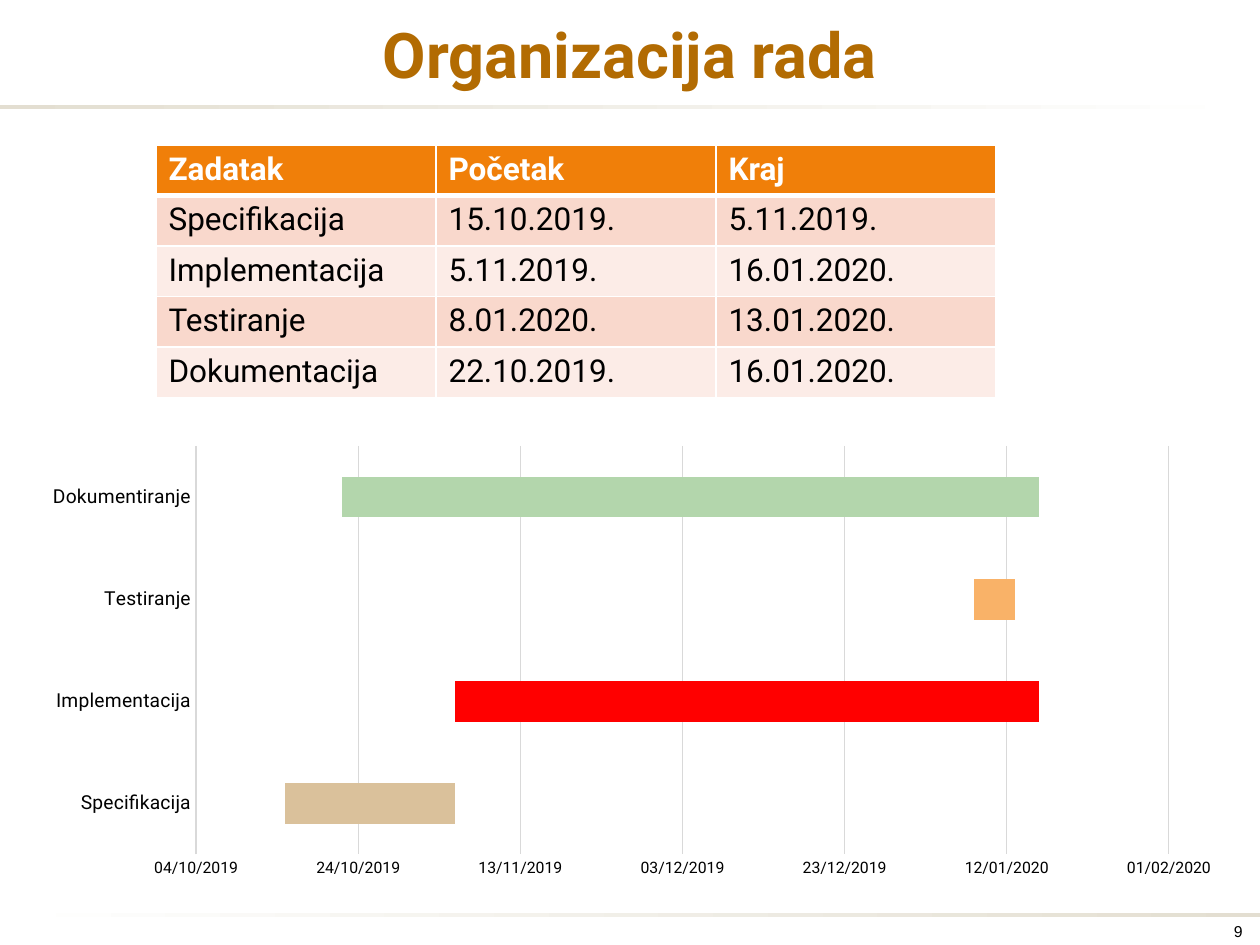
import pptx
import pptx.chart.data
import pptx.dml.color
import pptx.enum.chart
import pptx.enum.shapes
import pptx.enum.text
import pptx.oxml
import pptx.oxml.ns
import pptx.util

RGBColor = pptx.dml.color.RGBColor
BLACK = RGBColor(0x00, 0x00, 0x00)
WHITE = RGBColor(0xFF, 0xFF, 0xFF)
BROWN = RGBColor(0xB2, 0x6B, 0x02)
BEIGE = RGBColor(0xE3, 0xDE, 0xD1)
ORANGE = RGBColor(0xF0, 0x7F, 0x09)
BAND_DARK = RGBColor(0xF9, 0xD8, 0xCC)
BAND_LIGHT = RGBColor(0xFC, 0xEC, 0xE7)
GRID = RGBColor(0xD9, 0xD9, 0xD9)
DURATION = RGBColor(0x9F, 0x29, 0x36)
SPARE = RGBColor(0x1B, 0x58, 0x7C)
TASK_COLORS = [RGBColor(0xDA, 0xC1, 0x9B), RGBColor(0xFF, 0x00, 0x00),
               RGBColor(0xF9, 0xB2, 0x68), RGBColor(0xB3, 0xD6, 0xAC)]
SCALE = 914400 / 126


def box(*lengths):
    return [pptx.util.Emu(round(length * SCALE)) for length in lengths]


def set_font(font, size, color, bold=False, name="Roboto"):
    font.name = name
    font.size = pptx.util.Pt(size)
    font.color.rgb = color
    font.bold = bold


presentation = pptx.Presentation()
presentation.slide_width, presentation.slide_height = box(1260, 945)
slide = presentation.slides.add_slide(presentation.slide_layouts[5])

# Fading rules under the title and above the footer
for left, top, start, end in [(0, 105, BEIGE, WHITE), (1, 913, WHITE, BEIGE)]:
    rule = slide.shapes.add_shape(
        pptx.enum.shapes.MSO_SHAPE.RECTANGLE, *box(left, top, 1260, 4))
    rule.shadow.inherit = False
    rule.line.fill.background()
    rule.fill.gradient()
    rule.fill.gradient_angle = 0
    for stop, color in zip(rule.fill.gradient_stops, (start, end)):
        stop.color.rgb = color

# Title
title = slide.shapes.title
title.left, title.top, title.width, title.height = box(0, 0, 1260, 106)
title.text_frame.vertical_anchor = pptx.enum.text.MSO_ANCHOR.MIDDLE
paragraph = title.text_frame.paragraphs[0]
paragraph.alignment = pptx.enum.text.PP_ALIGN.CENTER
run = paragraph.add_run()
run.text = "Organizacija rada"
set_font(run.font, 36, BROWN, True)

# Page number
number = slide.shapes.add_textbox(*box(1106, 917, 149, 28))
number.text_frame.word_wrap = True
number.text_frame.vertical_anchor = pptx.enum.text.MSO_ANCHOR.MIDDLE
paragraph = number.text_frame.paragraphs[0]
paragraph.alignment = pptx.enum.text.PP_ALIGN.RIGHT
run = paragraph.add_run()
run.text = "9"
set_font(run.font, 9, BLACK, name="Arial")

# Task table
rows = [
    ("Zadatak", "Početak", "Kraj"),
    ("Specifikacija", "15.10.2019.", "5.11.2019."),
    ("Implementacija", "5.11.2019.", "16.01.2020."),
    ("Testiranje", "8.01.2020.", "13.01.2020."),
    ("Dokumentacija", "22.10.2019.", "16.01.2020."),
]
table = slide.shapes.add_table(5, 3, *box(156, 145, 840, 250)).table
for row_index, row in enumerate(rows):
    header = row_index == 0
    for column_index, text in enumerate(row):
        cell = table.cell(row_index, column_index)
        cell.fill.solid()
        cell.fill.fore_color.rgb = (
            ORANGE if header else BAND_DARK if row_index % 2 else BAND_LIGHT)
        run = cell.text_frame.paragraphs[0].add_run()
        run.text = text
        set_font(run.font, 18, WHITE if header else BLACK, header)
        # White borders, thick between the header and the first row
        properties = cell._tc.get_or_add_tcPr()
        for position, side in enumerate("LRTB"):
            thick = (row_index, side) in [(0, "B"), (1, "T")]
            properties.insert(position, pptx.oxml.parse_xml(
                f'<a:ln{side} {pptx.oxml.ns.nsdecls("a")} w="{38100 if thick else 12700}">'
                f'<a:solidFill><a:srgbClr val="{WHITE}"/></a:solidFill></a:ln{side}>'))

# Gantt chart: a hidden start series carries the durations
chart_data = pptx.chart.data.CategoryChartData()
chart_data.categories = ["Specifikacija", "Implementacija", "Testiranje", "Dokumentiranje"]
chart_data.add_series("Series 1", (43753, 43774, 43838, 43760))
chart_data.add_series("Series 2", (21, 72, 5, 86))
chart_data.add_series("Series 3", (0, 0, 0, 0))
chart = slide.shapes.add_chart(
    pptx.enum.chart.XL_CHART_TYPE.BAR_STACKED, *box(28, 437, 1201, 449), chart_data).chart
chart.has_legend = False
chart.has_title = False
set_font(chart.font, 10, BLACK)

plot = chart.plots[0]
plot.gap_width = 150
plot.overlap = 100
plot.vary_by_categories = False
starts, durations, spare = plot.series
starts.format.fill.background()
for series, color in [(durations, DURATION), (spare, SPARE)]:
    series.format.fill.solid()
    series.format.fill.fore_color.rgb = color
for index, color in enumerate(TASK_COLORS):
    fill = durations.points[index].format.fill
    fill.solid()
    fill.fore_color.rgb = color

# Axes
for axis, size in [(chart.category_axis, 11), (chart.value_axis, 9)]:
    axis.major_tick_mark = pptx.enum.chart.XL_TICK_MARK.NONE
    axis.minor_tick_mark = pptx.enum.chart.XL_TICK_MARK.NONE
    set_font(axis.tick_labels.font, size, BLACK)
dates = chart.value_axis
dates.minimum_scale = 43742
dates.maximum_scale = 43862
dates.major_unit = 20
dates.has_major_gridlines = True
dates.tick_labels.number_format = "dd/mm/yyyy;@"
dates.tick_labels.number_format_is_linked = False
dates.format.line.fill.background()
for line in (chart.category_axis.format.line, dates.major_gridlines.format.line):
    line.color.rgb = GRID
    line.width = pptx.util.Pt(0.75)

# Plot area inside the chart frame
plot_area = chart._chartSpace.chart.plotArea
for old_layout in plot_area.findall(pptx.oxml.ns.qn("c:layout")):
    plot_area.remove(old_layout)
sizes = "".join(f'<c:{key} val="{value}"/>' for key, value in
                [("x", 0.14), ("y", 0.02), ("w", 0.81), ("h", 0.91)])
plot_area.insert(0, pptx.oxml.parse_xml(
    f'<c:layout {pptx.oxml.ns.nsdecls("c")}><c:manualLayout><c:layoutTarget val="inner"/>'
    f'<c:xMode val="edge"/><c:yMode val="edge"/>{sizes}</c:manualLayout></c:layout>'))

presentation.save("out.pptx")
